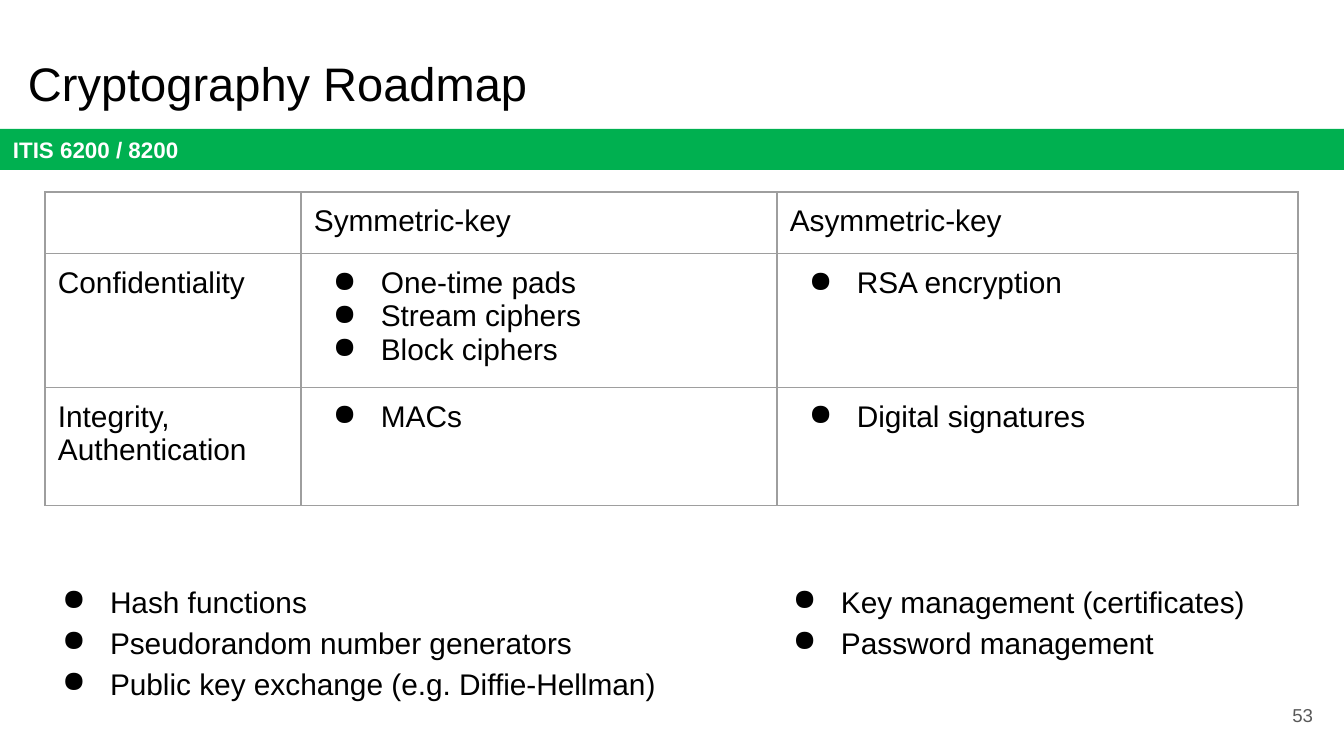
"""Build the Cryptography Roadmap slide."""
from pptx import Presentation
from pptx.dml.color import RGBColor
from pptx.enum.shapes import MSO_SHAPE
from pptx.enum.text import MSO_ANCHOR, PP_ALIGN
from pptx.oxml.ns import qn
from pptx.util import Emu, Pt
from lxml import etree

RECTANGLE = MSO_SHAPE.RECTANGLE
TOP, MIDDLE = MSO_ANCHOR.TOP, MSO_ANCHOR.MIDDLE
LEFT, RIGHT = PP_ALIGN.LEFT, PP_ALIGN.RIGHT
BLACK = RGBColor(0x00, 0x00, 0x00)
WHITE = RGBColor(0xFF, 0xFF, 0xFF)
GREEN = RGBColor(0x00, 0xB0, 0x50)
GRAY = RGBColor(0x59, 0x59, 0x59)
BORDER = RGBColor(0x9E, 0x9E, 0x9E)
FONT = "Arial"
INSET = 13
BULLET_MARGIN, BULLET_INDENT = 67, -48
COLUMN_WIDTHS = (256, 476, 521)
ROW_HEIGHTS = (60, 127, 118)
ROADMAP = (
    ("", "Symmetric-key", "Asymmetric-key"),
    ("Confidentiality", ["One-time pads", "Stream ciphers", "Block ciphers"],
     ["RSA encryption"]),
    ("Integrity,\vAuthentication", ["MACs"], ["Digital signatures"]),
)
PRIMITIVES = ["Hash functions", "Pseudorandom number generators",
              "Public key exchange (e.g. Diffie-Hellman)"]
MANAGEMENT = ["Key management (certificates)", "Password management"]


def px(length):
    return Emu(round(length * 914400 / 134.4))


def add_bullet(paragraph):
    properties = paragraph._p.get_or_add_pPr()
    properties.set("marL", str(px(BULLET_MARGIN)))
    properties.set("indent", str(px(BULLET_INDENT)))
    color = etree.SubElement(properties, qn("a:buClr"))
    etree.SubElement(color, qn("a:srgbClr"), val=str(BLACK))
    etree.SubElement(properties, qn("a:buChar"), char="●")


def write_text(frame, content, size=16, color=BLACK, bold=False, align=LEFT,
               spacing=None):
    """Write a string as plain text, or a list as bullets."""
    bulleted = isinstance(content, list)
    lines = content if bulleted else [content]
    for index, line in enumerate(lines):
        paragraph = frame.add_paragraph() if index else frame.paragraphs[0]
        paragraph.text = line
        if bulleted:
            add_bullet(paragraph)
        paragraph.alignment = align
        if spacing:
            paragraph.line_spacing = spacing
        font = paragraph.font
        font.name, font.size, font.bold = FONT, Pt(size), bold
        font.color.rgb = color


def set_frame(shape, anchor):
    frame = shape.text_frame
    frame.word_wrap = True
    frame.vertical_anchor = anchor
    frame.margin_left = frame.margin_right = px(INSET)
    frame.margin_top = frame.margin_bottom = px(INSET)
    return frame


def add_text(slide, box, content, anchor=TOP, **style):
    shape = slide.shapes.add_textbox(*map(px, box))
    write_text(set_frame(shape, anchor), content, **style)


def add_band(slide, box, content):
    shape = slide.shapes.add_shape(RECTANGLE, *map(px, box))
    shape.shadow.inherit = False
    shape.fill.solid()
    shape.fill.fore_color.rgb = GREEN
    shape.line.fill.background()
    write_text(set_frame(shape, MIDDLE), content, size=12, color=WHITE, bold=True)


def add_borders(cell):
    properties = cell._tc.get_or_add_tcPr()
    for side in ("lnL", "lnR", "lnT", "lnB"):
        line = etree.SubElement(properties, qn(f"a:{side}"), w=str(Pt(0.75)))
        fill = etree.SubElement(line, qn("a:solidFill"))
        etree.SubElement(fill, qn("a:srgbClr"), val=str(BORDER))


def fill_cell(cell, content):
    cell.margin_left = cell.margin_right = px(INSET)
    cell.margin_top = cell.margin_bottom = px(INSET if content else 0)
    add_borders(cell)
    cell.fill.background()
    write_text(cell.text_frame, content)


def add_roadmap_table(slide, left, top):
    frame = slide.shapes.add_table(
        len(ROW_HEIGHTS), len(COLUMN_WIDTHS), px(left), px(top),
        px(sum(COLUMN_WIDTHS)), px(sum(ROW_HEIGHTS)))
    table = frame.table
    table.first_row = table.horz_banding = False
    for column, width in zip(table.columns, COLUMN_WIDTHS):
        column.width = px(width)
    for row, height, contents in zip(table.rows, ROW_HEIGHTS, ROADMAP):
        row.height = px(height)
        for cell, content in zip(row.cells, contents):
            fill_cell(cell, content)


def main():
    presentation = Presentation()
    presentation.slide_width, presentation.slide_height = px(1344), px(756)
    slide = presentation.slides.add_slide(presentation.slide_layouts[6])
    add_band(slide, (0, 129, 1344, 41), "ITIS 6200 / 8200")
    add_text(slide, (15, 41, 1253, 85), "Cryptography Roadmap", size=25.2)
    add_roadmap_table(slide, 45, 192)
    add_text(slide, (30, 565, 642, 172), PRIMITIVES, spacing=1.15)
    add_text(slide, (761, 565, 507, 105), MANAGEMENT, spacing=1.15)
    add_text(slide, (1246, 686, 80, 58), "53", anchor=MIDDLE, size=10,
             color=GRAY, align=RIGHT)
    presentation.save("out.pptx")


if __name__ == "__main__":
    main()
